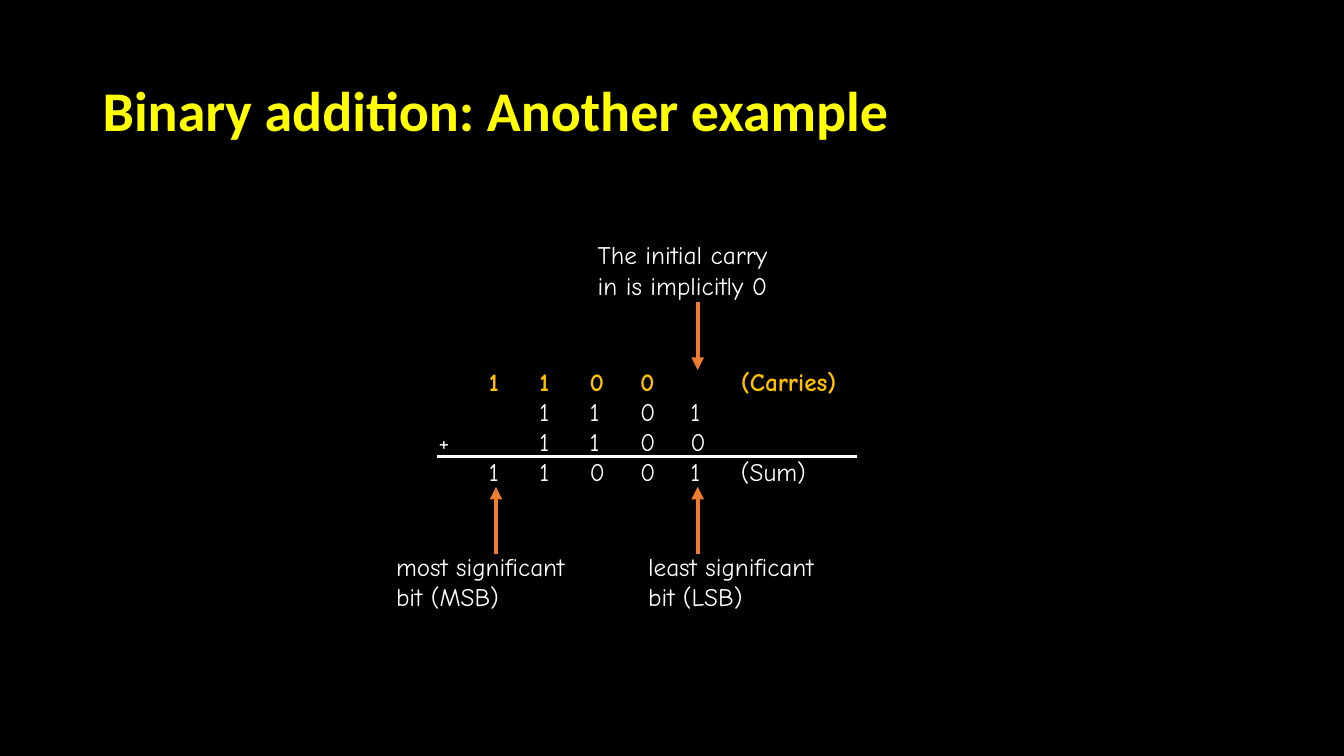
import pptx
import pptx.dml.color
import pptx.enum.shapes
import pptx.enum.text
import pptx.oxml.ns
import pptx.util
from lxml import etree

Inches = pptx.util.Inches
RGBColor = pptx.dml.color.RGBColor
ANCHOR = pptx.enum.text.MSO_ANCHOR
qn = pptx.oxml.ns.qn

BLACK = RGBColor(0x00, 0x00, 0x00)
WHITE = RGBColor(0xFF, 0xFF, 0xFF)
YELLOW = RGBColor(0xFF, 0xFF, 0x00)
GOLD = RGBColor(0xFF, 0xC0, 0x00)
ORANGE = RGBColor(0xED, 0x7D, 0x31)

# Content
TITLE = ["Binary addition: Another example"]
SUM_ROWS = [
    ["", "1", "1", "0", "0", "", "(Carries)"],
    ["", "", "1", "1", "0", "1"],
    ["+", "", "1", "1", "0", "0"],
    ["", "1", "1", "0", "0", "1", "(Sum)"],
]
NOTES = [
    (["The initial carry", "in is implicitly 0"], (5.83, 2.33, 2.08, 0.7)),
    (["most significant", "bit (MSB)"], (3.83, 5.42, 2.07, 0.7)),
    (["least significant", "bit (LSB)"], (6.33, 5.42, 2.07, 0.7)),
]
COLUMN_STEP = 0.5
MSB_X, LSB_X = 4.92, 6.92
ARROWS = [(LSB_X, 3, 3.67), (MSB_X, 5.5, 4.83), (LSB_X, 5.5, 4.83)]

# Text formats
TITLE_FORMAT = {"name": "Calibri", "size": pptx.util.Pt(40), "bold": True, "color": YELLOW}
BODY_FORMAT = {"name": "Comic Neue", "size": pptx.util.Pt(18), "bold": False, "color": WHITE}
CARRY_FORMAT = {**BODY_FORMAT, "bold": True, "color": GOLD}


def add_text(slide, lines, box, formats, wrap=False, anchor=ANCHOR.TOP):
    """Add a text box with one paragraph per line and return its paragraphs."""
    frame = slide.shapes.add_textbox(*map(Inches, box)).text_frame
    frame.word_wrap = wrap
    frame.vertical_anchor = anchor
    frame.text = "\n".join(lines)
    for paragraph, text_format in zip(frame.paragraphs, formats):
        font = paragraph.runs[0].font
        for key, value in text_format.items():
            if key == "color":
                font.color.rgb = value
            else:
                setattr(font, key, value)
    return frame.paragraphs


def add_tab_stops(paragraph, count):
    tab_list = etree.SubElement(paragraph._p.get_or_add_pPr(), qn("a:tabLst"))
    for column in range(1, count + 1):
        position = str(Inches(COLUMN_STEP * column))
        etree.SubElement(tab_list, qn("a:tab"), pos=position, algn="l")


def add_line(slide, start, end, color, width, arrow=False):
    line = slide.shapes.add_connector(
        pptx.enum.shapes.MSO_CONNECTOR.STRAIGHT, *map(Inches, start + end))
    line.line.color.rgb = color
    line.line.width = pptx.util.Pt(width)
    if arrow:
        etree.SubElement(line.line._get_or_add_ln(), qn("a:tailEnd"), type="triangle")
    etree.SubElement(line._element.spPr, qn("a:effectLst"))


def main():
    presentation = pptx.Presentation()
    presentation.slide_width = Inches(13.33)
    presentation.slide_height = Inches(7.5)
    slide = presentation.slides.add_slide(presentation.slide_layouts[6])
    slide.background.fill.solid()
    slide.background.fill.fore_color.rgb = BLACK

    # Title
    title = add_text(slide, TITLE, (0.92, 0.4, 11.5, 1.45), [TITLE_FORMAT],
                     wrap=True, anchor=ANCHOR.MIDDLE)
    title[0].line_spacing = 0.9

    # Addition, with one tab stop per bit column
    rows = add_text(slide, ["\t".join(cells) for cells in SUM_ROWS],
                    (4.25, 3.58, 4.29, 1.31), [CARRY_FORMAT] + [BODY_FORMAT] * 3)
    for paragraph in rows:
        add_tab_stops(paragraph, len(SUM_ROWS[0]) - 1)
    add_line(slide, (4.33, 4.53), (8.5, 4.53), WHITE, 2)

    # Notes and their arrows
    for lines, box in NOTES:
        add_text(slide, lines, box, [BODY_FORMAT] * len(lines))
    for x, start_y, end_y in ARROWS:
        add_line(slide, (x, start_y), (x, end_y), ORANGE, 3, arrow=True)

    presentation.save("out.pptx")


if __name__ == "__main__":
    main()
